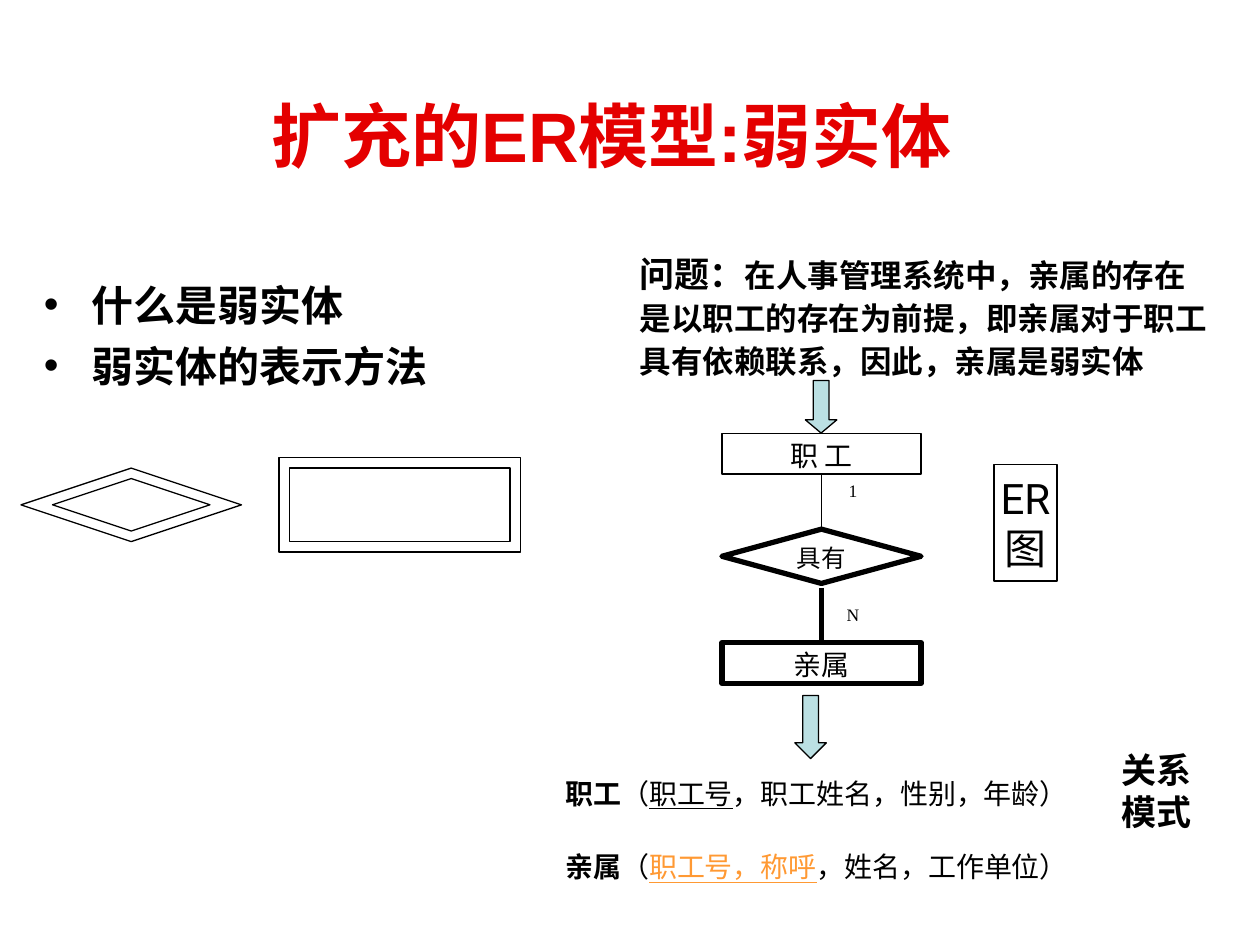
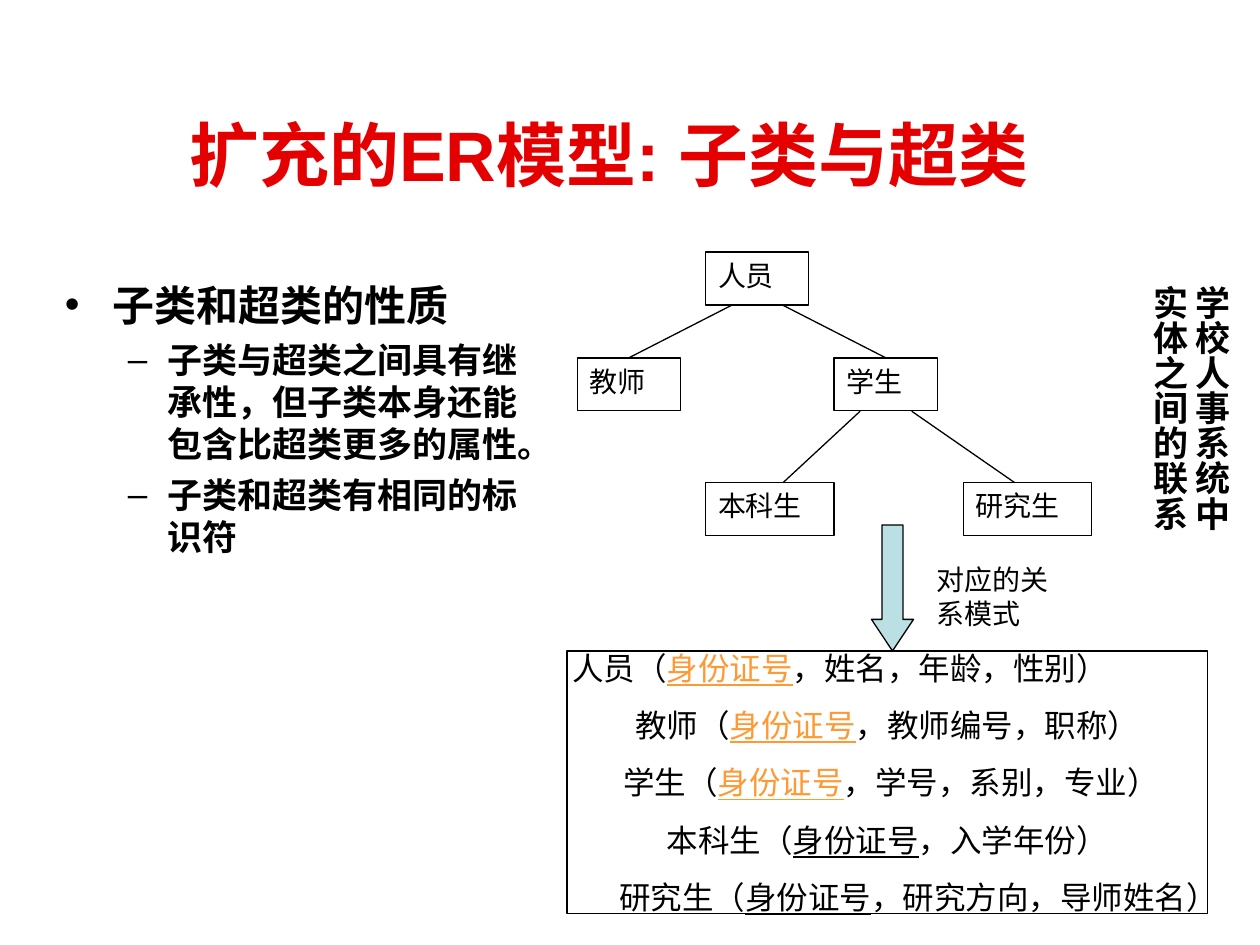
from lxml import etree
from pptx import Presentation
from pptx.dml.color import RGBColor
from pptx.enum.shapes import MSO_CONNECTOR, MSO_SHAPE
from pptx.enum.text import MSO_ANCHOR, MSO_AUTO_SIZE, PP_ALIGN
from pptx.oxml.ns import qn
from pptx.util import Pt

RECT, DIAMOND, ARROW = MSO_SHAPE.RECTANGLE, MSO_SHAPE.DIAMOND, MSO_SHAPE.DOWN_ARROW
DECISION = MSO_SHAPE.FLOWCHART_DECISION
STRAIGHT = MSO_CONNECTOR.STRAIGHT
LEFT, CENTER, JUSTIFY = PP_ALIGN.LEFT, PP_ALIGN.CENTER, PP_ALIGN.JUSTIFY
TOP, MIDDLE = MSO_ANCHOR.TOP, MSO_ANCHOR.MIDDLE

RED, BLACK, WHITE, ORANGE, TEAL = "E40000", "000000", "FFFFFF", "FF9933", "BBE0E3"
SANS, ROBOTO, TIMES, ARIAL = "Noto Sans CJK SC", "Roboto", "Times New Roman", "Arial"
DEFAULT_INSETS = (7.2, 3.6, 7.2, 3.6)
rgb = RGBColor.from_string


def draw(page, kind, place, fill=None, width=0.75):
    """Add a preset shape, or a text box when kind is None."""
    place = [Pt(value) for value in place]
    if kind is None:
        return page.shapes.add_textbox(*place)
    shape = page.shapes.add_shape(kind, *place)
    shape.shadow.inherit = False
    shape.line.color.rgb = rgb(BLACK)
    shape.line.width = Pt(width)
    if fill:
        shape.fill.solid()
        shape.fill.fore_color.rgb = rgb(fill)
    else:
        shape.fill.background()
    return shape


def write(box, lines, size, font, align=LEFT, anchor=TOP, insets=DEFAULT_INSETS,
          wrap=True, bold=False, colour=BLACK, leading=1.2, before=0):
    """Fill a box; a line is a string or a list of (text, changes) spans."""
    frame = box.text_frame
    frame.auto_size = MSO_AUTO_SIZE.NONE
    frame.word_wrap = wrap
    frame.vertical_anchor = anchor
    (frame.margin_left, frame.margin_top,
     frame.margin_right, frame.margin_bottom) = [Pt(value) for value in insets]
    for index, line in enumerate(lines):
        para = frame.add_paragraph() if index else frame.paragraphs[0]
        para.alignment = align
        para.line_spacing = Pt(round(size * leading, 1))
        para.space_before = Pt(before if index else 0)
        for text, changes in [(line, {})] if isinstance(line, str) else line:
            span = para.add_run()
            span.text = text
            span.font.name = font
            span.font.size = Pt(changes.get("size", size))
            span.font.bold = changes.get("bold", bold)
            span.font.underline = changes.get("underline", False)
            span.font.color.rgb = rgb(changes.get("colour", colour))
            east_asian = etree.SubElement(span.font._element, qn("a:ea"))
            east_asian.set("typeface", SANS)


deck = Presentation()
deck.slide_width, deck.slide_height = Pt(720), Pt(540)
STRONG = {"bold": True}
KEY = {"underline": True}
FOREIGN_KEY = {"underline": True, "colour": ORANGE}

# Titles and bullet lists of both slides
outlines = [
    ("扩充的ER模型:弱实体", (70.5, 43), CENTER, (18, 300),
     [(0, "什么是弱实体"), (0, "弱实体的表示方法")]),
    ("扩充的ER模型: 子类与超类", (101, 54), LEFT, (30, 284.5),
     [(0, "子类和超类的性质"),
      (1, "子类与超类之间具有继承性，但子类本身还能包含比超类更多的属性。"),
      (1, "子类和超类有相同的标识符")]),
]
bullet_levels = [("•", 27, -27, 24, 6), ("–", 58.5, -22.5, 20, 5)]
pages = []
for heading, (left, top), align, (list_left, list_width), points in outlines:
    page = deck.slides.add_slide(deck.slide_layouts[5])
    pages.append(page)
    title = page.shapes.title
    title.left, title.top, title.width, title.height = Pt(left), Pt(top), Pt(558), Pt(57.6)
    write(title, [heading], 40, ARIAL, align, MIDDLE, bold=True, colour=RED, leading=1.45)

    bullets = draw(page, None, (list_left, 156, list_width, 324))
    write(bullets, [text for _, text in points], 24, SANS, bold=True)
    for index, (level, _) in enumerate(points):
        para = bullets.text_frame.paragraphs[index]
        mark, margin, indent, size, before = bullet_levels[level]
        para.level = level
        para.line_spacing = Pt(size * 1.2)
        para.space_before = Pt(before if index else 0)
        para.runs[0].font.size = Pt(size)
        properties = para._p.get_or_add_pPr()
        properties.set("marL", str(Pt(margin)))
        properties.set("indent", str(Pt(indent)))
        etree.SubElement(properties, qn("a:buFont")).set("typeface", ARIAL)
        etree.SubElement(properties, qn("a:buChar")).set("char", mark)
weak_page, class_page = pages

# Slide 1: double-outlined symbols for weak relationships and entities
for kind, place in [(DIAMOND, (12, 267.5, 126, 42)), (DIAMOND, (30, 273.5, 90, 30)),
                    (RECT, (159.5, 261.5, 138, 54)), (RECT, (165.5, 267.5, 126, 42))]:
    draw(weak_page, kind, place)

# Slide 1: the problem
problem = draw(weak_page, None, (358.5, 140, 342, 82))
write(problem, [[("问题：", {"size": 20}),
                 ("在人事管理系统中，亲属的存在是以职工的存在为前提，"
                  "即亲属对于职工具有依赖联系，因此，亲属是弱实体", {})]],
      18, SANS, bold=True, leading=1.36)

# Slide 1: ER diagram
for kind, text, top, height, width, size, inset in [
        (RECT, "职 工", 247.7, 23.3, 0.75, 16, 2.9),
        (RECT, "亲属", 367.2, 23.3, 3, 16, 2.9),
        (DECISION, "具有", 302.4, 31, 3, 14, 0)]:
    node = draw(weak_page, kind, (412.5, top, 113.8, height), WHITE, width)
    write(node, [text], size, SANS if kind == RECT else TIMES, CENTER, insets=(0, inset, 0, 0))
for text, top in [("1", 274.5), ("N", 345)]:
    count = draw(weak_page, None, (463.7, top, 47.5, 23))
    write(count, [text], 10, TIMES, CENTER, insets=(0, 0, 0, 0))

# Slide 1: captions beside the diagram and the relations
er_caption = draw(weak_page, RECT, (568, 265.5, 36, 66.5))
write(er_caption, ["ER", "图"], 24, ROBOTO, CENTER, MIDDLE, wrap=False)
schema_caption = draw(weak_page, None, (640, 409.7, 41.8, 84))
write(schema_caption, ["关系", "模式"], 20, ROBOTO, CENTER, MIDDLE, wrap=False, bold=True)

# Slide 1: relations
relations = draw(weak_page, None, (316, 440, 324, 70.5))
write(relations, [
    [("职工", STRONG), ("（", {}), ("职工号", KEY), ("，职工姓名，性别，年龄）", {})],
    [("亲属", STRONG), ("（", {}), ("职工号，称呼", FOREIGN_KEY), ("，姓名，工作单位）", {})],
], 16, TIMES, before=23)

# Slide 2: class hierarchy
for text, left, top, width in [
        ("人员", 403.2, 144, 59), ("教师", 329.8, 204.5, 59), ("学生", 476.6, 204.5, 59),
        ("本科生", 403.2, 275.8, 73.4), ("研究生", 550.5, 275.8, 73.4)]:
    node = draw(class_page, RECT, (left, top, width, 30.3), WHITE)
    write(node, [text], 16, TIMES, JUSTIFY)

# Slide 2: vertical caption and arrow label
caption = draw(class_page, None, (645.8, 156.2, 62, 156.2))
write(caption, ["学校人事系统中实体之间的联系"], 20, SANS, insets=(3.6, 7.2, 3.6, 7.2), bold=True)
caption.text_frame._txBody.bodyPr.set("vert", "eaVert")
arrow_label = draw(class_page, None, (528, 318, 90, 46))
write(arrow_label, ["对应的关系模式"], 16, ROBOTO)

# Slide 2: relations, each row with its own indent
draw(class_page, RECT, (324, 372, 366, 150))
rows = [("人员", FOREIGN_KEY, "，姓名，年龄，性别）", 3),
        ("教师", FOREIGN_KEY, "，教师编号，职称）", 39),
        ("学生", FOREIGN_KEY, "，学号，系别，专业）", 32),
        ("本科生", KEY, "，入学年份）", 57),
        ("研究生", KEY, "，研究方向，导师姓名）", 30)]
relations = draw(class_page, None, (324, 372, 384, 150))
write(relations, [[(name + "（", {}), ("身份证号", style), (rest, {})]
                  for name, style, rest, _ in rows],
      18, SANS, anchor=MIDDLE, insets=(0, 0, 0, 0), before=11.2)
for para, (*_, indent) in zip(relations.text_frame.paragraphs, rows):
    para._p.get_or_add_pPr().set("marL", str(Pt(indent)))

# Block arrows of both slides
for page, place, head in [(weak_page, (454.2, 397.5, 18, 36), 0.5),
                          (weak_page, (460.2, 217.5, 18, 30), 0.42),
                          (class_page, (498, 300, 24, 72), 0.75)]:
    arrow = draw(page, ARROW, place, TEAL)
    arrow.adjustments[0], arrow.adjustments[1] = 0.5, head

# Connecting lines of both slides
for page, ends, width in [
        (weak_page, (469.4, 271, 469.4, 302.4), 0.75),
        (weak_page, (469.4, 336, 469.4, 367.2), 3),
        (class_page, (418, 174.5, 359.3, 204.5), 0.75),
        (class_page, (447.5, 174.5, 506.2, 204.5), 0.75),
        (class_page, (491.5, 235, 447.5, 275.8), 0.75),
        (class_page, (521, 235, 579.8, 275.8), 0.75)]:
    line = page.shapes.add_connector(STRAIGHT, *[Pt(value) for value in ends])
    line.line.color.rgb = rgb(BLACK)
    line.line.width = Pt(width)
    etree.SubElement(line._element.spPr, qn("a:effectLst"))

deck.save("out.pptx")
